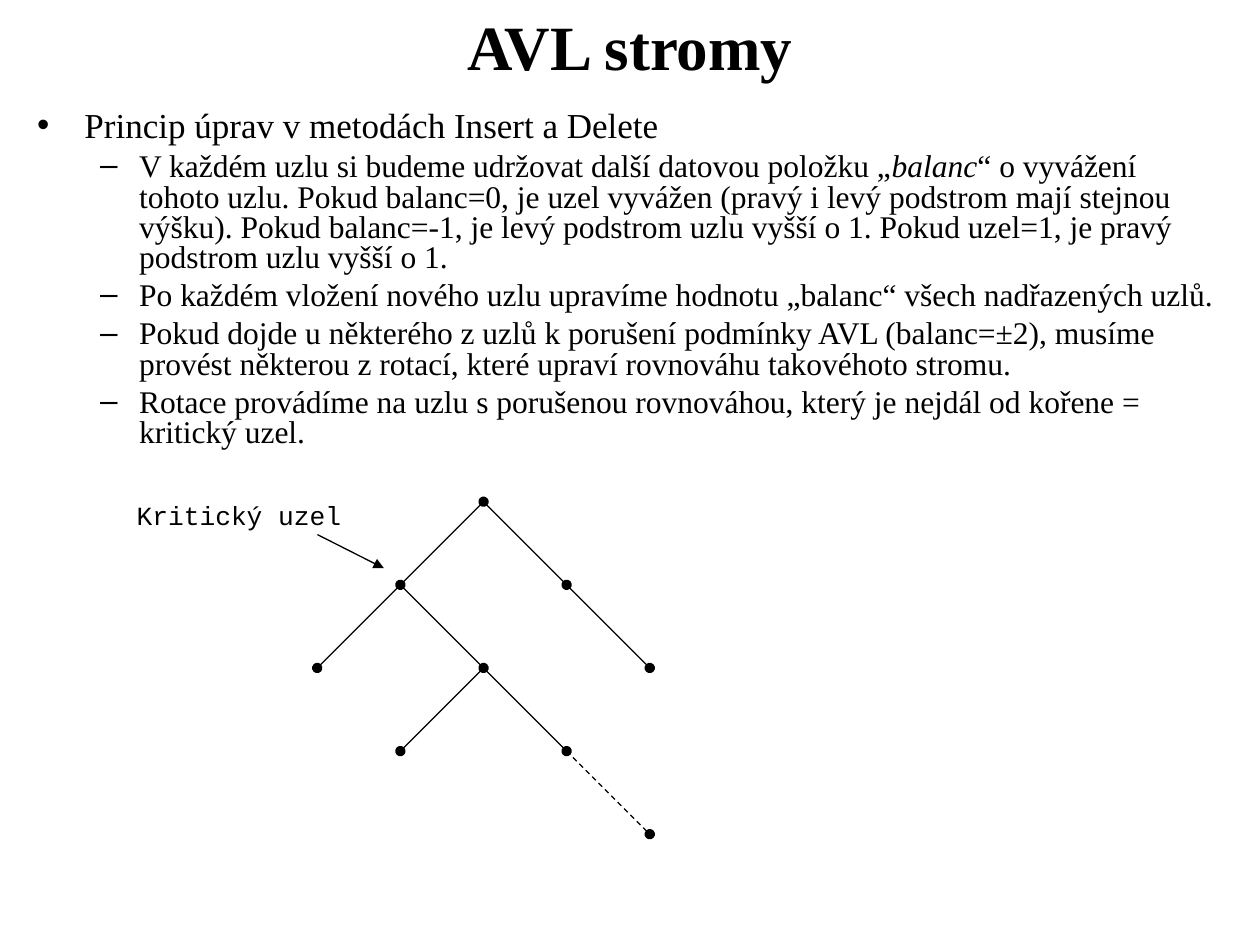
from pptx import Presentation
from pptx.dml.color import RGBColor
from pptx.enum.dml import MSO_LINE
from pptx.enum.shapes import MSO_CONNECTOR
from pptx.enum.text import MSO_ANCHOR, MSO_AUTO_SIZE, PP_ALIGN
from pptx.oxml.ns import qn
from pptx.util import Pt
from lxml.etree import SubElement

COLORS = {"ink": "000000", "paper": "FFFFFF"}
SERIF = "Times New Roman"
MONO = "Courier New"

HEADING = "Princip úprav v metodách Insert a Delete"
RULES = [
    [("V každém uzlu si budeme udržovat další datovou položku „", False),
     ("balanc", True),
     ("“ o vyvážení tohoto uzlu. Pokud balanc=0, je uzel vyvážen (pravý i levý "
      "podstrom mají stejnou výšku). Pokud balanc=-1, je levý podstrom uzlu vyšší "
      "o 1. Pokud uzel=1, je pravý podstrom uzlu vyšší o 1.", False)],
    [("Po každém vložení nového uzlu upravíme hodnotu „balanc“ všech "
      "nadřazených uzlů.", False)],
    [("Pokud dojde u některého z uzlů k porušení podmínky AVL (balanc=±2), musíme "
      "provést některou z rotací, které upraví rovnováhu takovéhoto stromu.", False)],
    [("Rotace provádíme na uzlu s porušenou rovnováhou, který je nejdál od "
      "kořene = kritický uzel.", False)],
]

ROOT_X, ROOT_Y, STEP = 276.3, 286.7, 47.5
EDGES = [
    ((0, 0), (-1, 1)), ((-1, 1), (-2, 2)), ((0, 2), (-1, 3)), ((-1, 1), (0, 2)),
    ((0, 2), (1, 3)), ((0, 0), (1, 1)), ((1, 1), (2, 2)), ((1, 3), (2, 4)),
]
ROOT_EDGE = ((0, 0), (1, 1))
NEW_EDGE = ((1, 3), (2, 4))


def color(name):
    return RGBColor.from_string(COLORS[name])


def place(shape, left, top, width, height):
    shape.left, shape.top = Pt(left), Pt(top)
    shape.width, shape.height = Pt(width), Pt(height)


def style_font(run, size, face, bold=False, italic=False):
    font = run.font
    font.size, font.name, font.bold, font.italic = Pt(size), face, bold, italic
    font.color.rgb = color("ink")


def add_title(slide):
    title = slide.shapes.title
    place(title, 18, -19, 684, 90)
    frame = title.text_frame
    frame.text = "AVL stromy"
    frame.auto_size = MSO_AUTO_SIZE.NONE
    frame.vertical_anchor = MSO_ANCHOR.MIDDLE
    frame.paragraphs[0].alignment = PP_ALIGN.CENTER
    style_font(frame.paragraphs[0].runs[0], 36, SERIF, bold=True)


def write_bullet(paragraph, parts, level, size, bullet, margin, indent, before, spacing):
    paragraph.level = level
    paragraph.space_before = Pt(before)
    paragraph.line_spacing = spacing
    for text, italic in parts:
        run = paragraph.add_run()
        run.text = text
        style_font(run, size, SERIF, italic=italic)
    properties = paragraph._p.get_or_add_pPr()
    properties.set("marL", str(Pt(margin)))
    properties.set("indent", str(Pt(indent)))
    bullet_color = SubElement(properties, qn("a:buClr"))
    SubElement(bullet_color, qn("a:srgbClr"), val=COLORS["ink"])
    SubElement(properties, qn("a:buChar"), char=bullet)


def add_principles(slide):
    body = slide.placeholders[1]
    place(body, 14, 55.7, 692, 259.7)
    frame = body.text_frame
    frame.auto_size = MSO_AUTO_SIZE.NONE
    write_bullet(frame.paragraphs[0], [(HEADING, False)], 0, 20, "•", 27, -27, 0, 1.0)
    for rule in RULES:
        write_bullet(frame.add_paragraph(), rule, 1, 18, "–", 58.3, -22.3, 4.5, 0.8)


def add_line(slide, start, end, head=None, tail=None, dashed=False):
    line = slide.shapes.add_connector(
        MSO_CONNECTOR.STRAIGHT, *[Pt(value) for value in (*start, *end)])
    line.line.color.rgb = color("ink")
    line.line.width = Pt(0.74)
    if dashed:
        line.line.dash_style = MSO_LINE.DASH
    outline = line.line._get_or_add_ln()
    for tag, ending in (("a:headEnd", head), ("a:tailEnd", tail)):
        if ending:
            SubElement(outline, qn(tag), type=ending)
    SubElement(line._element.spPr, qn("a:effectLst"))


def node_point(node):
    column, row = node
    return ROOT_X + column * STEP, ROOT_Y + row * STEP


def add_tree(slide):
    for edge in EDGES:
        parent, child = edge
        add_line(slide, node_point(parent), node_point(child),
                 head="oval" if edge == ROOT_EDGE else None,
                 tail="oval", dashed=edge == NEW_EDGE)


def add_critical_label(slide):
    add_line(slide, (181.4, 305.5), (219.4, 324.7), tail="triangle")
    label = slide.shapes.add_textbox(Pt(71), Pt(281.5), Pt(133), Pt(25.2))
    frame = label.text_frame
    frame.word_wrap = False
    frame.auto_size = MSO_AUTO_SIZE.SHAPE_TO_FIT_TEXT
    frame.text = "Kritický uzel"
    style_font(frame.paragraphs[0].runs[0], 15, MONO)


def main():
    presentation = Presentation()
    presentation.slide_width, presentation.slide_height = Pt(720), Pt(540)
    slide = presentation.slides.add_slide(presentation.slide_layouts[1])
    slide.background.fill.solid()
    slide.background.fill.fore_color.rgb = color("paper")
    add_title(slide)
    add_principles(slide)
    add_tree(slide)
    add_critical_label(slide)
    presentation.save("out.pptx")


main()
